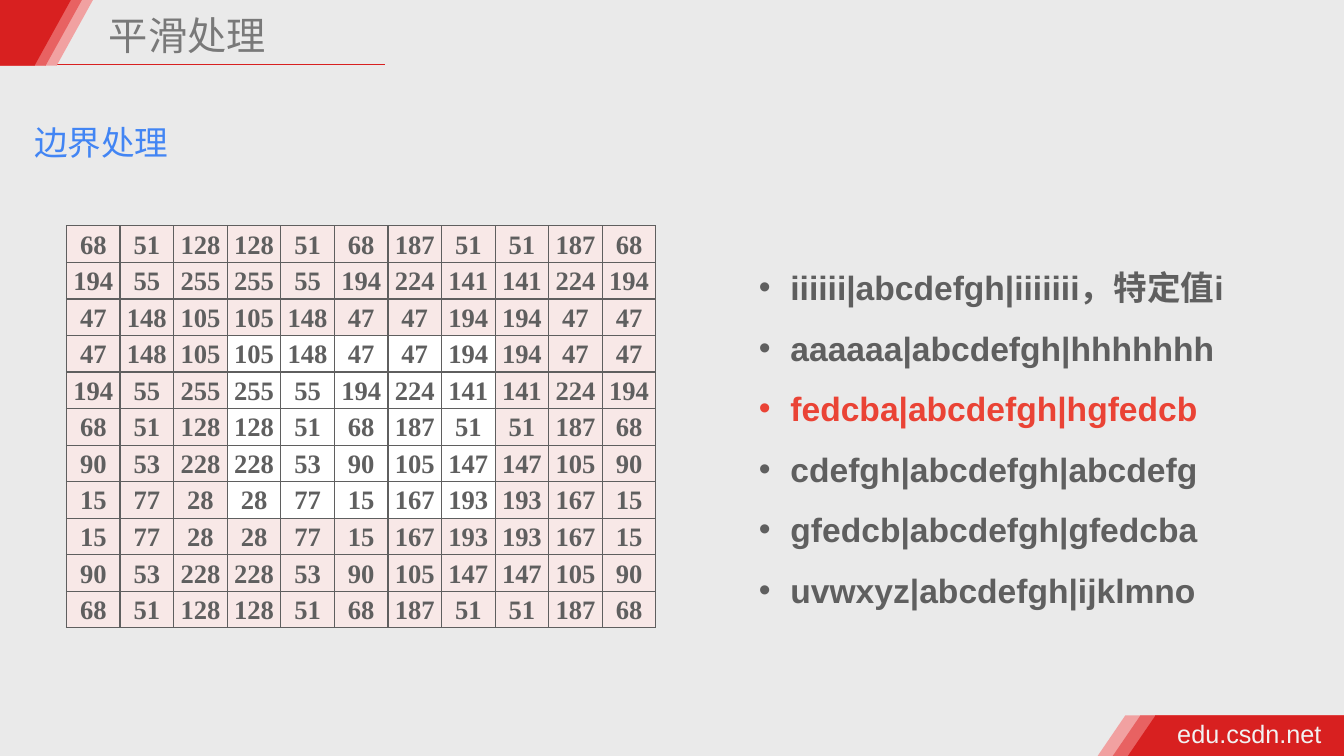
import dataclasses

import pptx
import pptx.dml.color
import pptx.enum.shapes
import pptx.enum.text
import pptx.oxml
import pptx.oxml.ns
import pptx.util

Pt = pptx.util.Pt
ShapeType = pptx.enum.shapes.MSO_SHAPE
NAMESPACE = pptx.oxml.ns.nsdecls("a")


@dataclasses.dataclass(frozen=True)
class Theme:
    """Colours, fonts and type sizes of the slide."""

    background: str = "EAEAEA"
    bands: tuple = ("F1A1A1", "E86262", "D82020")
    accent: str = "D82020"
    title: str = "797979"
    heading: str = "4285F4"
    body: str = "5F5F5F"
    highlight: str = "EA4335"
    address: str = "F2F2F2"
    padding_cell: str = "F8E8E7"
    core_cell: str = "FFFFFF"
    sans: str = "Arial"
    serif: str = "Times New Roman"
    chinese: str = "Noto Sans CJK SC"
    title_size: float = 28
    text_size: float = 24
    cell_size: float = 19
    address_size: float = 18


THEME = Theme()
PADDING = 3
CORE = [
    [105, 148, 47, 47, 194],
    [255, 55, 194, 224, 141],
    [128, 51, 68, 187, 51],
    [228, 53, 90, 105, 147],
    [28, 77, 15, 167, 193],
]
BORDER_MODES = [
    "iiiiii|abcdefgh|iiiiiii，特定值i",
    "aaaaaa|abcdefgh|hhhhhhh",
    "fedcba|abcdefgh|hgfedcb",
    "cdefgh|abcdefgh|abcdefg",
    "gfedcb|abcdefgh|gfedcba",
    "uvwxyz|abcdefgh|ijklmno",
]
REFLECT_MODE = 2


def rgb(value):
    """Turn a hex string into a colour."""
    return pptx.dml.color.RGBColor.from_string(value)


def apply_format(target, values):
    """Set each named attribute of the target."""
    for name, value in values.items():
        setattr(target, name, value)


def write_run(paragraph, text, colour, size, font_name, bold=False):
    """Add one formatted run to a paragraph."""
    run = paragraph.add_run()
    run.text = text
    apply_format(run.font, {"name": font_name, "size": Pt(size), "bold": bold})
    run.font.color.rgb = rgb(colour)
    east_asian = f'<a:ea {NAMESPACE} typeface="{THEME.chinese}"/>'
    run.font._element.append(pptx.oxml.parse_xml(east_asian))


def add_text_frame(slide, box, wrap=True, inset=None):
    """Add a text box that grows with its text and return its frame."""
    frame = slide.shapes.add_textbox(*map(Pt, box)).text_frame
    apply_format(frame, {
        "word_wrap": wrap,
        "auto_size": pptx.enum.text.MSO_AUTO_SIZE.SHAPE_TO_FIT_TEXT,
    })
    if inset is not None:
        sides = ("left", "top", "right", "bottom")
        apply_format(frame, {f"margin_{side}": Pt(inset) for side in sides})
    return frame


def add_band(slide, kind, box, colour, rotation=0):
    """Add one flat shape of a coloured band."""
    shape = slide.shapes.add_shape(kind, *map(Pt, box))
    shape.shadow.inherit = False
    shape.fill.solid()
    shape.fill.fore_color.rgb = rgb(colour)
    shape.line.fill.background()
    shape.rotation = rotation


def add_header(slide, box):
    """Add the slanted corner, the rule and the slide title."""
    left, top, width, height = box
    rule = slide.shapes.add_connector(
        pptx.enum.shapes.MSO_CONNECTOR.STRAIGHT,
        Pt(left + 35.3), Pt(top + 46.1), Pt(left + width), Pt(top + 46.1))
    rule.line.color.rgb = rgb(THEME.accent)
    rule.line.width = Pt(1)
    rule._element.spPr.append(pptx.oxml.parse_xml(f"<a:effectLst {NAMESPACE}/>"))
    slant = 52
    for index, colour in enumerate(THEME.bands):
        start = left + 14.4 - 7.9 * index
        middle = start + slant / 2
        add_band(slide, ShapeType.RECTANGLE, (left, top, middle - left, height), colour)
        add_band(slide, ShapeType.ISOSCELES_TRIANGLE,
                 (start, top, slant, height), colour, 180)
    frame = add_text_frame(slide, (left + 74.2, top + 8.6, 314, 38.2), inset=3.6)
    paragraph = frame.paragraphs[0]
    paragraph.line_spacing = 0.9
    write_run(paragraph, "平滑处理", THEME.title, THEME.title_size, THEME.chinese)


def add_heading(slide, box):
    """Add the section heading."""
    paragraph = add_text_frame(slide, box).paragraphs[0]
    paragraph.line_spacing = 1.5
    write_run(paragraph, "边界处理", THEME.heading, THEME.text_size, THEME.chinese)


def add_footer(slide, box):
    """Add the slanted bands and the web address at the lower right."""
    left, top, width, height = box
    slant = 39.6
    for index, colour in enumerate(THEME.bands):
        start = left + 10.8 * index
        middle = start + slant / 2
        add_band(slide, ShapeType.RECTANGLE,
                 (middle, top, left + width - middle, height), colour)
        add_band(slide, ShapeType.ISOSCELES_TRIANGLE, (start, top, slant, height), colour)
    frame = add_text_frame(slide, (left + 53.3, top - 1.4, 111.6, 28.8), False, 3.6)
    write_run(frame.paragraphs[0], "edu.csdn.net", THEME.address,
              THEME.address_size, THEME.sans)


def reflect(items):
    """Extend a sequence on both sides by mirroring its edges."""
    return items[:PADDING][::-1] + items + items[-PADDING:][::-1]


def add_cell_borders(cell):
    """Draw a thin line on all four sides of a cell."""
    properties = cell._tc.get_or_add_tcPr()
    for position, side in enumerate("LRTB"):
        properties.insert(position, pptx.oxml.parse_xml(
            f'<a:ln{side} {NAMESPACE} w="{Pt(1)}"><a:solidFill>'
            f'<a:srgbClr val="{THEME.body}"/></a:solidFill></a:ln{side}>'))


def add_pixel_table(slide, box):
    """Add the pixel grid with its mirrored padding."""
    pixels = reflect([reflect(row) for row in CORE])
    count = len(pixels)
    table = slide.shapes.add_table(count, count, *map(Pt, box)).table
    apply_format(table, {"first_row": False, "horz_banding": False})
    for column in table.columns:
        column.width = Pt(box[2] / count)
    for row in table.rows:
        row.height = Pt(box[3] / count)
    core = range(PADDING, count - PADDING)
    for row_index, values in enumerate(pixels):
        for column_index, value in enumerate(values):
            cell = table.cell(row_index, column_index)
            apply_format(cell, {
                "margin_left": Pt(1.4), "margin_top": Pt(1.4),
                "margin_right": Pt(1.4), "margin_bottom": Pt(0),
                "vertical_anchor": pptx.enum.text.MSO_ANCHOR.MIDDLE,
            })
            inside = row_index in core and column_index in core
            cell.fill.solid()
            cell.fill.fore_color.rgb = rgb(THEME.core_cell if inside else THEME.padding_cell)
            add_cell_borders(cell)
            paragraph = cell.text_frame.paragraphs[0]
            paragraph.alignment = pptx.enum.text.PP_ALIGN.CENTER
            write_run(paragraph, str(value), THEME.body, THEME.cell_size, THEME.serif, True)


def add_border_modes(slide, box):
    """Add the bulleted list of border modes."""
    frame = add_text_frame(slide, box)
    for index, mode in enumerate(BORDER_MODES):
        paragraph = frame.add_paragraph() if index else frame.paragraphs[0]
        properties = paragraph._p.get_or_add_pPr()
        properties.set("marL", str(Pt(22.5)))
        properties.set("indent", str(Pt(-22.5)))
        for bullet in ('buFont {} typeface="Arial"', 'buChar {} char="•"'):
            properties.append(pptx.oxml.parse_xml(f"<a:{bullet.format(NAMESPACE)}/>"))
        paragraph.line_spacing = 1.5
        colour = THEME.highlight if index == REFLECT_MODE else THEME.body
        write_run(paragraph, mode, colour, THEME.text_size, THEME.sans, True)


def main():
    """Build the slide and save it."""
    presentation = pptx.Presentation()
    apply_format(presentation, {"slide_width": Pt(960), "slide_height": Pt(540)})
    slide = presentation.slides.add_slide(presentation.slide_layouts[6])
    slide.background.fill.solid()
    slide.background.fill.fore_color.rgb = rgb(THEME.background)
    add_footer(slide, (784, 511, 176, 29))
    add_header(slide, (0, 0, 275, 47))
    add_heading(slide, (17.3, 69.1, 198, 46.1))
    add_border_modes(slide, (535, 172.8, 378, 263.5))
    add_pixel_table(slide, (47.5, 161.3, 421.2, 287.3))
    presentation.save("out.pptx")


if __name__ == "__main__":
    main()
